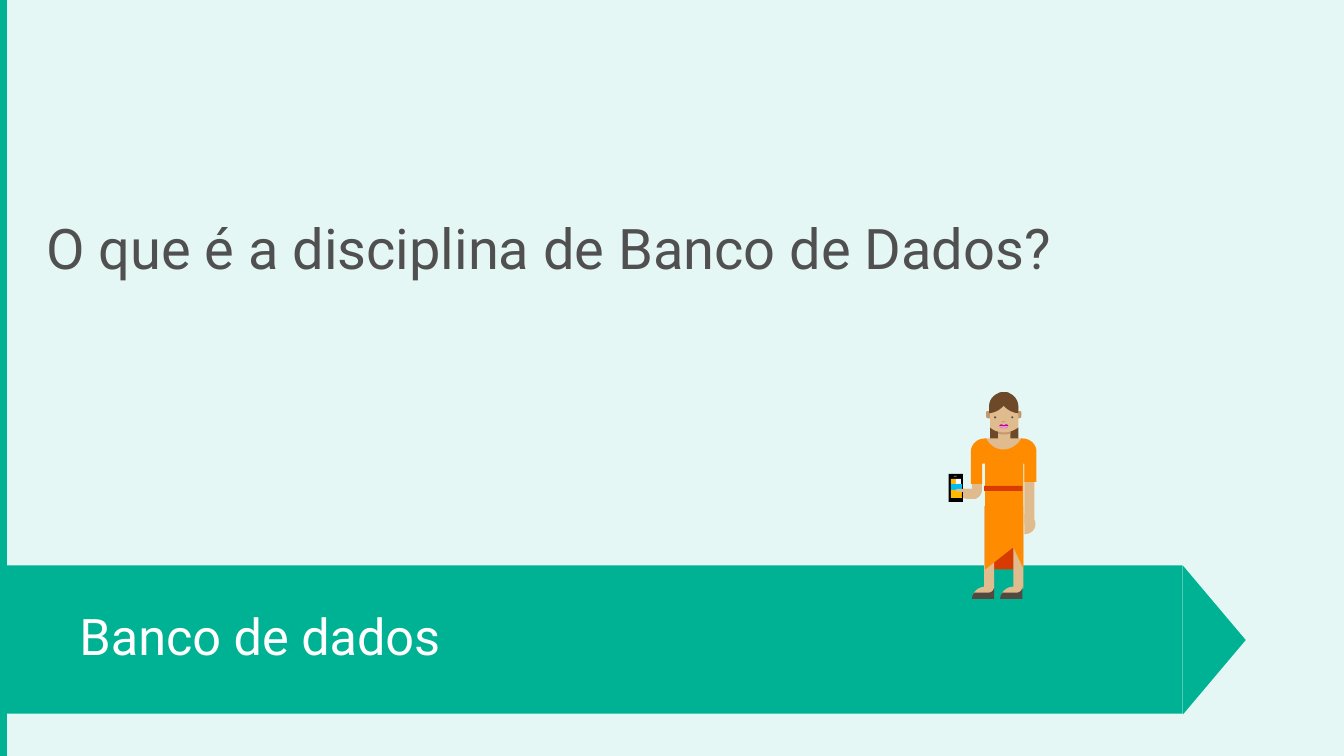
from lxml import etree
from pptx import Presentation
from pptx.dml.color import RGBColor
from pptx.enum.shapes import MSO_SHAPE
from pptx.enum.text import MSO_ANCHOR
from pptx.oxml.ns import qn
from pptx.util import Emu, Pt

PX = 9144  # EMU per px, 100 px to the inch
SLIDE_W, SLIDE_H = 1333, 750
CURVE_STEPS = 8
RECT, OVAL = MSO_SHAPE.RECTANGLE, MSO_SHAPE.OVAL
TRIANGLE = MSO_SHAPE.ISOSCELES_TRIANGLE
TOP, MIDDLE = MSO_ANCHOR.TOP, MSO_ANCHOR.MIDDLE

FONT = "Roboto"
GREEN, GREY, WHITE, BLACK = "00B294", "505050", "FFFFFF", "000000"
SKIN, SHADE, HAIR = "E0BB8D", "C3986F", "6D4929"
ORANGE, RED, SHOE_BROWN = "FF8C00", "D83B01", "524940"
SKY, YELLOW = "00BCF2", "FFB900"

TITLE = "O que é a disciplina de Banco de Dados?"
SUBJECT = "Banco de dados"

# Outlines: (x, y) is a corner, six numbers are a cubic curve
FOOT = [(977, 582), (972, 582, 968, 585, 966, 588), (965, 589), (980, 590),
        (983, 590, 986, 586, 986, 582)]
SHOE = [(986, 582), (986, 586, 983, 588, 980, 588), (966, 588),
        (965, 590, 964, 592, 964, 594), (986, 594)]
HAIR_LEFT = [(1001, 390), (1000, 389, 998, 389, 996, 389),
             (988, 389, 981, 395, 981, 403), (981, 410),
             (992, 409, 1000, 400, 1001, 390)]
HAIR_RIGHT = [(990, 390), (992, 389, 994, 389, 996, 389),
              (1003, 389, 1010, 395, 1010, 403), (1010, 410),
              (999, 409, 991, 400, 990, 390)]
EARS = [(1013, 413), (1013, 414, 1012, 415, 1011, 415), (980, 415),
        (979, 415, 978, 414, 978, 413), (978, 409),
        (978, 408, 979, 408, 980, 408), (1011, 408),
        (1012, 408, 1013, 408, 1013, 409)]
NECK = [(995, 443), (990, 438), (990, 424), (1002, 424), (1002, 438)]
NECK_SHADE = [(990, 430), (992, 431, 993, 431, 996, 431),
              (998, 431, 1000, 431, 1002, 430), (1002, 421), (990, 421)]
FACE = [(982, 402), (982, 424), (985, 427, 990, 429, 996, 429),
        (1001, 429, 1006, 427, 1010, 424), (1010, 402)]
BENT_ARM = [(966, 495), (960, 495), (951, 485), (964, 485), (964, 460),
            (974, 460), (974, 486), (974, 491, 970, 495, 966, 495)]
DRESS = [(1014, 435), (1013, 435), (1010, 441, 1003, 446, 995, 446),
         (987, 446, 981, 441, 978, 435), (977, 435),
         (969, 435, 963, 441, 963, 448), (963, 480), (974, 480), (974, 460),
         (977, 460), (977, 565), (1005, 543), (1015, 564), (1015, 460),
         (1016, 460), (1016, 478), (1028, 478), (1028, 448),
         (1028, 441, 1022, 435, 1014, 435)]
HAND = [(1016, 510), (1016, 530), (1022, 530, 1027, 526, 1027, 520),
        (1027, 514, 1022, 510, 1016, 510)]
PALM = [(970, 485), (949, 485), (949, 491, 954, 495, 960, 495),
        (965, 495, 970, 491, 970, 485)]
THUMB = [(948, 486), (948, 487, 949, 488, 950, 488), (957, 488),
         (958, 488, 959, 487, 959, 486), (959, 486, 958, 485, 957, 485),
         (950, 485), (949, 485, 948, 486, 948, 486)]
LOWER_LIP = [(994, 425), (997, 425), (999, 425, 1000, 424, 1000, 422),
             (991, 422), (991, 424, 993, 425, 994, 425)]
TEETH = [(991, 422), (992, 423, 994, 424, 996, 424),
         (997, 424, 999, 423, 1000, 422), (996, 423)]
UPPER_LIP = [(998, 421), (997, 421, 996, 422, 996, 422),
             (995, 422, 994, 421, 993, 421), (992, 421, 992, 422, 991, 422),
             (992, 423, 994, 423, 996, 423), (997, 423, 999, 423, 1000, 422),
             (1000, 422, 999, 421, 998, 421)]
NOSE = [(993, 418), (993, 418, 994, 419, 995, 419),
        (996, 419, 997, 418, 998, 418)]

# Back to front: an outline as a list, or a preset as (kind, x, y, w, h)
WOMAN = [
    (RED, (RECT, 984, 525, 24, 40)),
    (HAIR, (RECT, 982, 424, 28, 17)),
    (SHADE, EARS), (SKIN, NECK), (SHADE, NECK_SHADE), (SKIN, FACE),
    (HAIR, HAIR_LEFT), (HAIR, HAIR_RIGHT), (SKIN, BENT_ARM),
    (SKIN, (RECT, 976, 502, 10, 82)),
    (SKIN, (RECT, 1005, 502, 10, 82)),
    (SKIN, (RECT, 1016, 460, 10, 60)),
    (SKIN, (RECT, 977, 435, 37, 15)),
    (ORANGE, DRESS), (SKIN, HAND),
    (RED, (RECT, 976, 482, 38, 5)),
    (SKIN, PALM),
    (BLACK, (RECT, 941, 470, 14, 28)),
    (SKY, (RECT, 943, 480, 11, 6)),
    (YELLOW, (RECT, 943, 486, 11, 8)),
    (YELLOW, (RECT, 943, 475, 5, 5)),
    (WHITE, (RECT, 948, 475, 5, 5)),
    (BLACK, (RECT, 954, 490, 1, 3)),
    ("969696", (RECT, 946, 472, 3, 1)),
    (SKIN, THUMB), ("F472D0", LOWER_LIP), ("EEEEEE", TEETH),
    ("B4009E", UPPER_LIP),
    (GREY, (OVAL, 986, 413, 2, 2)),
    (GREY, (OVAL, 1003, 413, 2, 2)),
    (SHADE, NOSE),
]
FEET_DX = (0, 28)


def rgb(color):
    return RGBColor.from_string(color)


def paint(sp, color):
    sp.shadow.inherit = False
    sp.fill.solid()
    sp.fill.fore_color.rgb = rgb(color)
    sp.line.fill.background()
    return sp


def add_preset(shapes, color, kind, *box):
    return paint(shapes.add_shape(kind, *(Emu(v * PX) for v in box)), color)


def flatten(outline):
    """Turn corners and cubic curves into a list of points."""
    points = []
    for step in outline:
        if len(step) == 2:
            points.append(step)
            continue
        x0, y0 = points[-1]
        x1, y1, x2, y2, x3, y3 = step
        for i in range(1, CURVE_STEPS + 1):
            t = i / CURVE_STEPS
            a, b, c, d = (1 - t)**3, 3 * t * (1 - t)**2, 3 * t * t * (1 - t), t**3
            points.append((a * x0 + b * x1 + c * x2 + d * x3,
                           a * y0 + b * y1 + c * y2 + d * y3))
    return points


def add_outline(shapes, color, outline, dx=0):
    points = [(round((x + dx) * PX), round(y * PX)) for x, y in flatten(outline)]
    builder = shapes.build_freeform(*points[0])
    builder.add_line_segments(points[1:], close=True)
    return paint(builder.convert_to_shape(), color)


def add_text(shapes, text, box, size, color, anchor=TOP, spacing=1.0):
    tf = shapes.add_textbox(*(Emu(v * PX) for v in box)).text_frame
    tf.word_wrap = True
    tf.vertical_anchor = anchor
    p = tf.paragraphs[0]
    p.line_spacing = spacing
    r = p.add_run()
    r.text = text
    r.font.name, r.font.size, r.font.color.rgb = FONT, Pt(size), rgb(color)


def main():
    prs = Presentation()
    prs.slide_width, prs.slide_height = Emu(SLIDE_W * PX), Emu(SLIDE_H * PX)
    shapes = prs.slides.add_slide(prs.slide_layouts[6]).shapes

    tint = add_preset(shapes, GREEN, RECT, 0, 0, SLIDE_W, SLIDE_H)
    fill_color = tint.fill._xPr.find(qn("a:solidFill"))[0]
    etree.SubElement(fill_color, qn("a:alpha")).set("val", "10000")

    banner = shapes.add_group_shape().shapes
    add_preset(banner, GREEN, RECT, 7, 561, 1166, 147)
    add_preset(banner, GREEN, TRIANGLE, 1131, 604, 147, 62).rotation = 90
    add_preset(shapes, GREEN, RECT, 0, 0, 7, SLIDE_H)
    add_text(shapes, SUBJECT, (69, 601, 640, 67), 36, WHITE, anchor=MIDDLE, spacing=0.9)

    woman = shapes.add_group_shape().shapes
    for color, part in WOMAN:
        if isinstance(part, list):
            add_outline(woman, color, part)
        else:
            add_preset(woman, color, *part)
    for dx in FEET_DX:
        add_outline(woman, SKIN, FOOT, dx)
        add_outline(woman, SHOE_BROWN, SHOE, dx)

    add_text(shapes, TITLE, (36, 200, 1035, 78), 40, GREY, spacing=1.1)
    prs.save("out.pptx")


if __name__ == "__main__":
    main()
